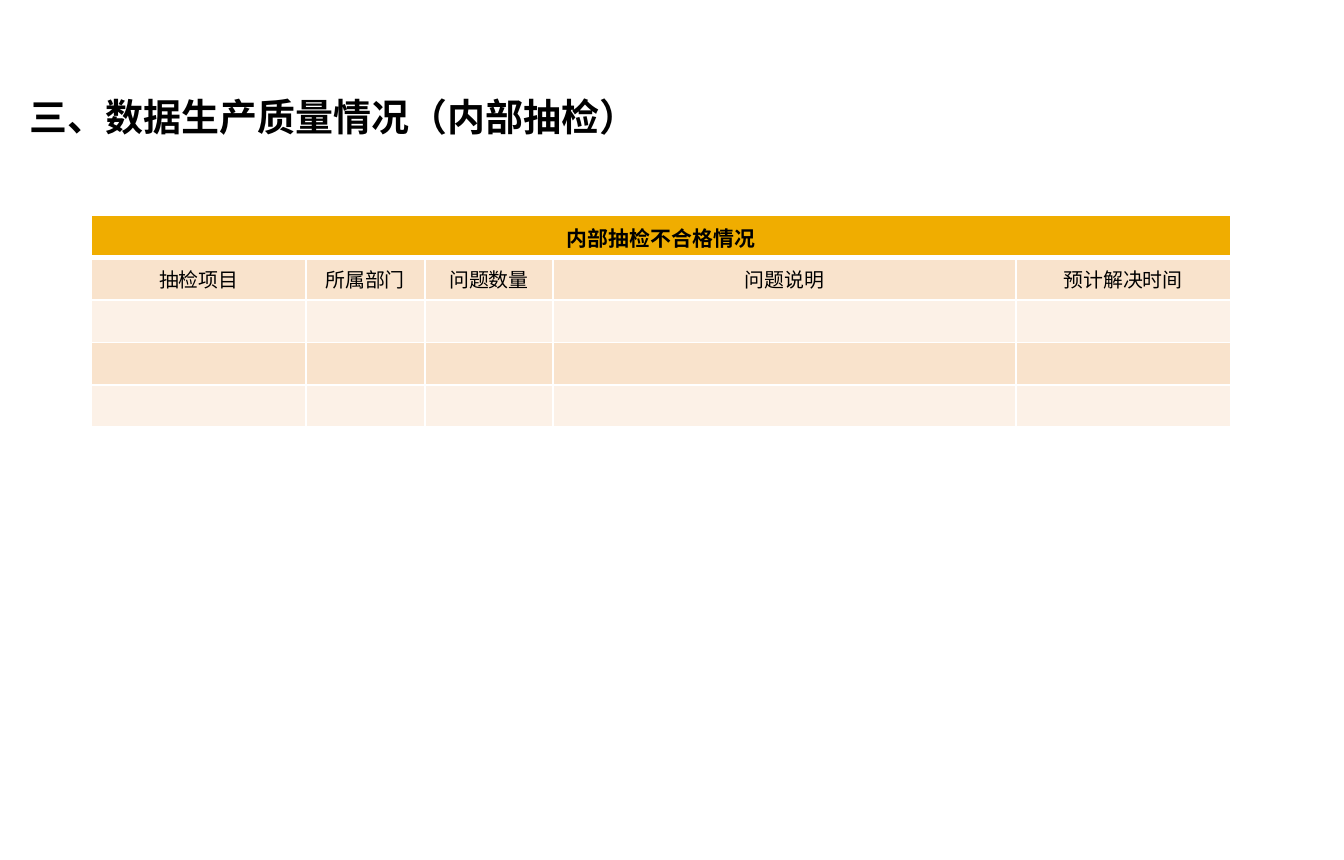
from lxml import etree
from pptx import Presentation
from pptx.dml.color import RGBColor
from pptx.enum.text import MSO_ANCHOR, PP_ALIGN
from pptx.oxml.ns import qn
from pptx.util import Inches, Pt

MIDDLE = MSO_ANCHOR.MIDDLE
CENTER = PP_ALIGN.CENTER
COLORS = {"text": "000000", "border": "FFFFFF", "header": "F0AD00",
          "dark_band": "F9E3CC", "light_band": "FCF1E7"}
TITLE = {"name": "Arial", "size": Pt(20), "bold": True}
HEADER = {"name": "Arial", "size": Pt(11), "bold": True}
BODY = {"name": "Arial", "size": Pt(10.5), "bold": False}
HEADINGS = ["抽检项目", "所属部门", "问题数量", "问题说明", "预计解决时间"]
COLUMNS = [1.57, 0.87, 0.94, 3.39, 1.57]
ROW_COUNT, ROW_HEIGHT = 5, 0.31


def write(para, text, style):
    span = para.add_run()
    span.text = text
    for name, value in style.items():
        setattr(span.font, name, value)
    span.font.color.rgb = RGBColor.from_string(COLORS["text"])


def add_border(cell, side, points):
    line = etree.SubElement(cell._tc.get_or_add_tcPr(), qn("a:ln" + side), w=str(Pt(points)))
    fill = etree.SubElement(line, qn("a:solidFill"))
    etree.SubElement(fill, qn("a:srgbClr"), val=COLORS["border"])


deck = Presentation()
deck.slide_width, deck.slide_height = Inches(9.84), Inches(6.3)
page = deck.slides.add_slide(deck.slide_layouts[6])

box = page.shapes.add_textbox(Inches(0.12), Inches(0.63), Inches(6.77), Inches(0.45))
box.text_frame.word_wrap = True
box.text_frame.vertical_anchor = MIDDLE
write(box.text_frame.paragraphs[0], "三、数据生产质量情况（内部抽检）", TITLE)

table = page.shapes.add_table(
    ROW_COUNT, len(COLUMNS), Inches(0.67), Inches(1.58),
    Inches(sum(COLUMNS)), Inches(ROW_COUNT * ROW_HEIGHT)).table
for column, width in zip(table.columns, COLUMNS):
    column.width = Inches(width)

for row_index, row in enumerate(table.rows):
    row.height = Inches(ROW_HEIGHT)
    band = "header" if row_index == 0 else "dark_band" if row_index % 2 else "light_band"
    borders = {"L": 1, "R": 1, "T": 3 if row_index == 1 else 1, "B": 3 if row_index == 0 else 1}
    for column_index, cell in enumerate(row.cells):
        for side, points in borders.items():
            add_border(cell, side, points)
        cell.fill.solid()
        cell.fill.fore_color.rgb = RGBColor.from_string(COLORS[band])
        para = cell.text_frame.paragraphs[0]
        para.alignment = CENTER
        if row_index == 1:
            write(para, HEADINGS[column_index], BODY)
        elif row_index > 1:
            etree.SubElement(para._p, qn("a:endParaRPr"), sz="1050")

table.cell(0, 0).merge(table.cell(0, len(COLUMNS) - 1))
write(table.cell(0, 0).text_frame.paragraphs[0], "内部抽检不合格情况", HEADER)

deck.save("out.pptx")
